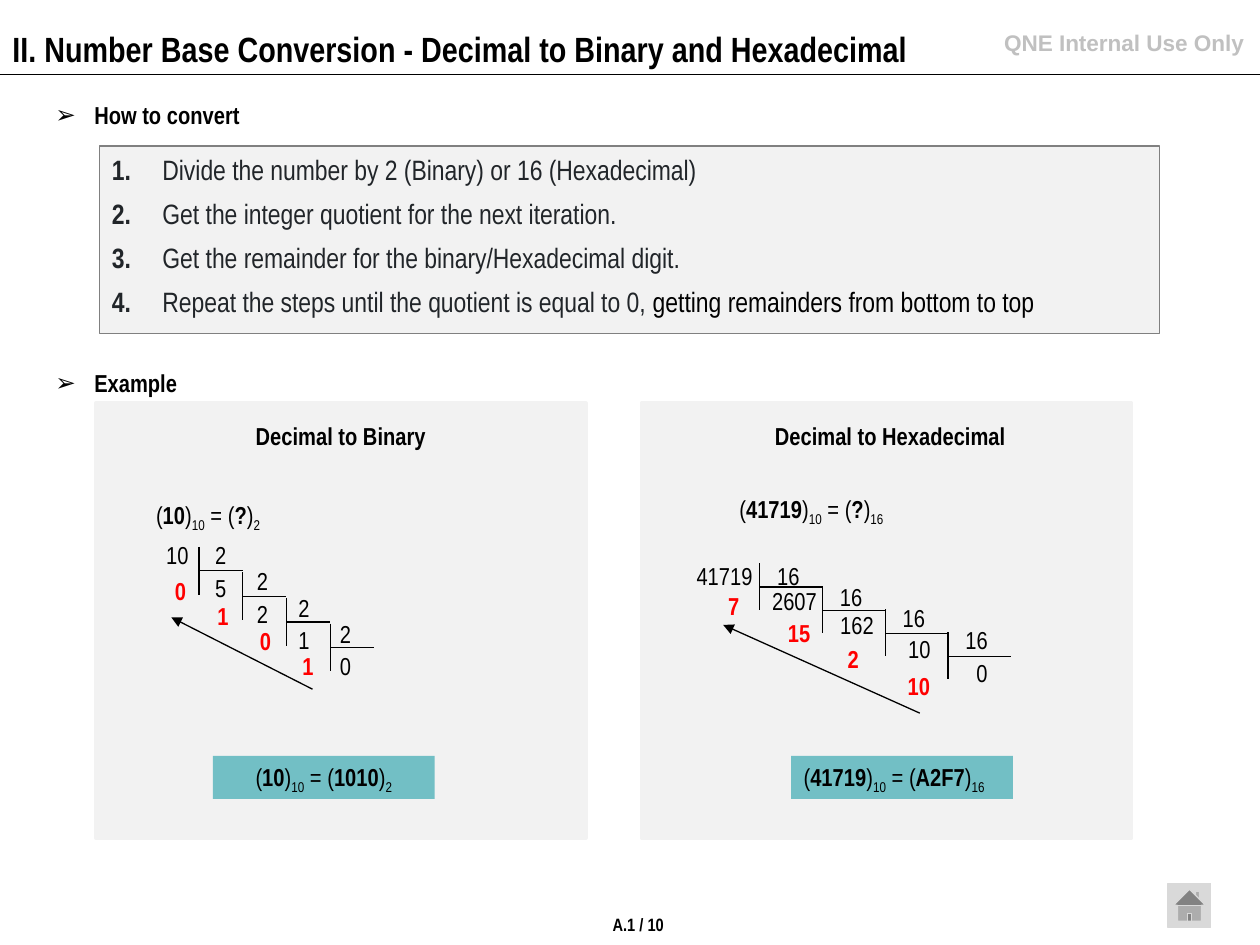
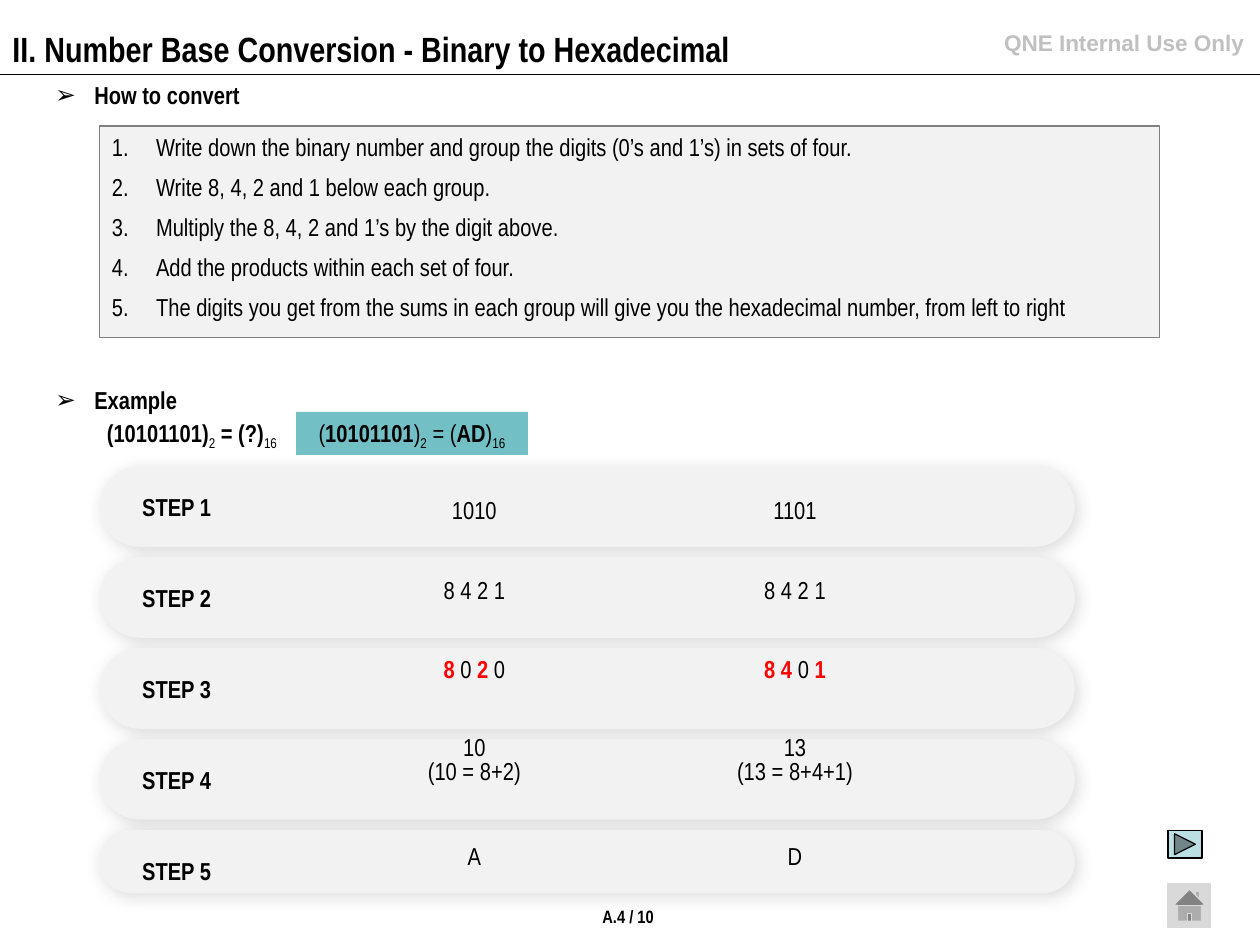
import dataclasses

import pptx
import pptx.dml.color
import pptx.enum.shapes
import pptx.enum.text
import pptx.oxml
import pptx.oxml.ns
import pptx.util

SHAPES = pptx.enum.shapes.MSO_SHAPE
ALIGN = pptx.enum.text.PP_ALIGN
ANCHOR = pptx.enum.text.MSO_ANCHOR

# The slide is a grid of 100 columns and 75 rows of square cells
COLUMNS, ROWS = 100, 75
CELL = pptx.util.Inches(0.1)

BLACK, RED, INK = "000000", "FF0000", "212529"
PANEL, TEAL, GREY = "F2F2F2", "72BFC5", "808080"
BUTTON, MARK, SKY, WHITE = "D9D9D9", "C0C0C0", "BBE0E3", "FFFFFF"

# Formats of a span
BASE = {"name": "Arial Narrow", "size": 14, "bold": False, "color": BLACK}
BOLD = {"bold": True}
SUB = {"baseline": "-25000"}
HOT = {"bold": True, "color": RED}
NO_GRID_STYLE = "{2D5ABB26-0587-4C30-8999-92F81FD0307C}"


@dataclasses.dataclass
class Box:
    left: float
    top: float
    width: float = 0
    height: float = 3.4

    def inside(self, left, top, width, height=3.4):
        return Box(self.left + left, self.top + top, width, height)

    def lengths(self):
        return [cells(n) for n in (self.left, self.top, self.width, self.height)]


def cells(number):
    return pptx.util.Emu(round(number * CELL))


def colour(hex_text):
    return pptx.dml.color.RGBColor.from_string(hex_text)


def set_formats(target, formats):
    for name, value in formats.items():
        setattr(target, name, value)


def add_xml(parent, markup):
    tag, rest = markup.split(" ", 1)
    parent.append(pptx.oxml.parse_xml(f"{tag} {pptx.oxml.ns.nsdecls('a')} {rest}"))


# ---- Text ----

def add_span(para, text, formats):
    span = para.add_run()
    span.text = text
    values = {**BASE, **formats}
    span.font.color.rgb = colour(values.pop("color"))
    baseline = values.pop("baseline", None)
    if baseline:
        span.font._element.set("baseline", baseline)
    values["size"] = pptx.util.Pt(values["size"])
    set_formats(span.font, values)


def write_para(para, spans, base=None, **formats):
    set_formats(para, formats)
    if isinstance(spans, str):
        spans = [(spans, {})]
    for text, style in spans:
        add_span(para, text, {**(base or {}), **style})


def set_bullet(para, indent, *markups):
    properties = para._p.get_or_add_pPr()
    properties.set("marL", str(cells(indent)))
    properties.set("indent", str(-cells(indent)))
    for markup in markups:
        add_xml(properties, markup)


def set_frame(frame, margin=None, anchor=ANCHOR.TOP, wrap=True):
    set_formats(frame, {"word_wrap": wrap, "vertical_anchor": anchor})
    if margin is not None:
        sides = ("left", "top", "right", "bottom")
        set_formats(frame, {f"margin_{side}": cells(margin) for side in sides})


def add_text(page, box, spans, base=None, anchor=ANCHOR.TOP, **formats):
    frame = page.shapes.add_textbox(*box.lengths()).text_frame
    set_frame(frame, anchor=anchor)
    write_para(frame.paragraphs[0], spans, base, **formats)
    return frame.paragraphs[0]


def based(digits, base):
    """Spans of a number in brackets with its base below."""
    return [("(", {}), (digits, BOLD), (")", {}), (str(base), SUB)]


def equation(left, right):
    return based(*left) + [(" = ", {})] + based(*right)


# ---- Shapes and lines ----

def add_shape(page, box, fill, line=None, width=0.75, kind=SHAPES.RECTANGLE):
    shape = page.shapes.add_shape(kind, *box.lengths())
    shape.shadow.inherit = False
    shape.fill.solid()
    shape.fill.fore_color.rgb = colour(fill)
    if line:
        shape.line.color.rgb = colour(line)
        shape.line.width = pptx.util.Pt(width)
    else:
        shape.line.fill.background()
    return shape


def add_line(page, box, start, end, arrow=False):
    ends = [cells(n) for x, y in (start, end) for n in (box.left + x, box.top + y)]
    line = page.shapes.add_connector(pptx.enum.shapes.MSO_CONNECTOR.STRAIGHT, *ends)
    line.line.color.rgb = colour(BLACK)
    line.line.width = pptx.util.Pt(0.75)
    if arrow:
        add_xml(line.line._get_or_add_ln(), '<a:tailEnd type="triangle"/>')
    add_xml(line._element.spPr, "<a:effectLst />")


def add_answer(page, box, spans, align=ALIGN.CENTER):
    frame = add_shape(page, box, TEAL).text_frame
    set_frame(frame)
    write_para(frame.paragraphs[0], spans, alignment=align)


# ---- Parts shared by the slides ----

def add_frame(page, title, number, number_box):
    slide = Box(0, 0, COLUMNS, ROWS)
    add_line(page, slide, (0, 5.9), (COLUMNS, 5.9))
    add_text(page, slide.inside(72.2, 1.8, 27.5, 3.2), "QNE Internal Use Only",
             {"name": "Arial", "size": 12.9, "bold": True, "color": MARK},
             alignment=ALIGN.RIGHT)
    add_text(page, slide.inside(0, 1.7, 83.7, 4.4), title, {"size": 20, **BOLD})
    add_shape(page, slide.inside(92.7, 70.1, 3.4, 3.5), BUTTON, BUTTON,
              kind=SHAPES.ACTION_BUTTON_HOME)
    frame = add_shape(page, number_box, WHITE).text_frame
    set_frame(frame, margin=0, wrap=False)
    write_para(frame.paragraphs[0], number, {"size": 10.2, **BOLD},
               alignment=ALIGN.CENTER)


def add_heading(page, top, text):
    para = add_text(page, Box(3.4, top, 86.2, 4.7), text, BOLD,
                    anchor=ANCHOR.MIDDLE, line_spacing=0.9)
    set_bullet(para, 3.1, '<a:buFont typeface="Arial"/>', '<a:buChar char="➢"/>')


def add_rules(page, box, rules, base=None):
    frame = add_shape(page, box, PANEL, GREY).text_frame
    set_frame(frame)
    for index, rule in enumerate(rules):
        para = frame.add_paragraph() if index else frame.paragraphs[0]
        write_para(para, rule, base, alignment=ALIGN.LEFT,
                   space_before=pptx.util.Pt(6))
        set_bullet(para, 3.5, '<a:buAutoNum type="arabicPeriod"/>')


# ---- Slide 1: repeated division ----

def add_ladder(page, box, start, step, drop):
    """Draw four division brackets that step down to the right."""
    for index in range(4):
        x, y = (first + index * pitch for first, pitch in zip(start, step))
        add_line(page, box, (x, y - 1.9), (x, y - 1.9 + drop))
        add_line(page, box, (x, y), (x + step[0], y))


def add_series(page, box, texts, start, step=(0, 0), style=None):
    for index, text in enumerate(texts):
        x, y = (first + index * pitch for first, pitch in zip(start, step))
        add_text(page, box.inside(x, y, 6.6), text, style)


def add_division(page, box, division):
    add_shape(page, box, PANEL, PANEL, 2)
    add_text(page, box.inside(division["heading_left"], 0.95, box.width),
             division["heading"], BOLD, alignment=ALIGN.CENTER)
    number, base = division["number"], division["base"]
    add_text(page, box.inside(*division["question_at"], 29),
             equation((number, 10), ("?", base)))
    add_ladder(page, box, *division["ladder"])
    for series in division["series"]:
        add_series(page, box, *series)
    add_line(page, box, *division["arrow"], arrow=True)
    add_answer(page, box.inside(division["answer_left"], 28, 17.6),
               equation((number, 10), (division["result"], base)), division["align"])


BINARY = {
    "heading": "Decimal to Binary", "heading_left": 0,
    "number": "10", "base": 2, "result": "1010",
    "question_at": (3.8, 7.2), "answer_left": 9.3, "align": ALIGN.CENTER,
    "ladder": ((8.2, 13.3), (3.47, 2.03), 3.8),
    "arrow": ((17.2, 22.7), (6, 17)),
    "series": [
        (["10"], (4.6, 10.4)),
        (["2"] * 4, (8.5, 10.4), (3.3, 2.07)),
        (["5", "2", "1", "0"], (8.5, 13), (3.3, 2.05)),
        (["0", "1", "0", "1"], (5.3, 13.2), (3.37, 2), HOT),
    ],
}
HEXADECIMAL = {
    "heading": "Decimal to Hexadecimal", "heading_left": 0.3,
    "number": "41719", "base": 16, "result": "A2F7",
    "question_at": (6.8, 6.7), "answer_left": 11.9, "align": ALIGN.LEFT,
    "ladder": ((9.4, 14.6), (4.98, 1.83), 3.7),
    "arrow": ((22.1, 24.6), (6.5, 17.6)),
    "series": [
        (["41719"], (3.4, 12)),
        (["16"] * 4, (9.8, 12), (4.98, 1.7)),
        (["2607", "162", "10", "0"], (9.4, 14), (5.4, 1.9)),
        (["7", "15", "2", "10"], (5.9, 14.4), (4.75, 2.13), HOT),
    ],
}


def build_division_slide(page):
    add_frame(page, "II. Number Base Conversion - Decimal to Binary and Hexadecimal",
              "A.1 / 10", Box(48.6, 72.5, 4.1, 1.7))
    add_heading(page, 6.9, "How to convert")
    rules = ["Divide the number by 2 (Binary) or 16 (Hexadecimal)",
             "Get the integer quotient for the next iteration.",
             "Get the remainder for the binary/Hexadecimal digit.",
             "Repeat the steps until the quotient is equal to 0, "]
    rules = [[(" ", BOLD), (rule, {})] for rule in rules]
    rules[-1].append(("getting remainders from bottom to top", {"color": BLACK}))
    add_rules(page, Box(7.9, 11.6, 84.1, 14.9), rules, {"size": 16, "color": INK})
    add_heading(page, 28.2, "Example")
    for left, division in ((7.6, BINARY), (50.9, HEXADECIMAL)):
        add_division(page, Box(left, 32, 38.9, 34.5), division)


# ---- Slide 2: grouping by four digits ----

def add_steps(page, box):
    """Draw the five shadowed bands and their labels."""
    for index, height in enumerate([6.4] * 4 + [5]):
        band = box.inside(0, index * 7.22, box.width, height)
        shape = add_shape(page, band, PANEL, kind=SHAPES.ROUNDED_RECTANGLE)
        shape.adjustments[0] = 0.5
        add_xml(shape._element.spPr.find(pptx.oxml.ns.qn("a:effectLst")),
                '<a:outerShdw blurRad="127000" dist="25400" dir="2700000">'
                '<a:srgbClr val="000000"><a:alpha val="15000"/></a:srgbClr>'
                '</a:outerShdw>')
        add_text(page, band.inside(2.4, 1.6, 10), f"STEP {index + 1}", BOLD)


def add_digit_table(page, box):
    widths = [14.7, 25.3, 25.6]
    heights = [3.8, 3.3] + [3.1] * 5 + [5.5, 3.1, 3.1]
    # Each filled row holds the lines of its two groups
    groups = {
        1: (["1010"], ["1101"]),
        3: (["8 4 2 1"], ["8 4 2 1"]),
        5: ([[("8", HOT), (" 0 ", {}), ("2", HOT), (" 0", {})]],
            [[("8 4 ", HOT), ("0 ", {}), ("1", HOT)]]),
        7: (["10", "(10 = 8+2)"], ["13", "(13 = 8+4+1)"]),
        9: (["A"], ["D"]),
    }
    table = page.shapes.add_table(len(heights), len(widths), *box.lengths()).table
    set_formats(table, {"first_row": False, "horz_banding": False})
    table._tbl.tblPr.find(pptx.oxml.ns.qn("a:tableStyleId")).text = NO_GRID_STYLE
    for column, width in zip(table.columns, widths):
        column.width = cells(width)
    for index, (row, height) in enumerate(zip(table.rows, heights)):
        row.height = cells(height)
        for cell, lines in zip(row.cells, ([], *groups.get(index, ([], [])))):
            cell.fill.background()
            set_formats(cell, {"margin_left": cells(0.7), "margin_right": cells(0.7),
                               "margin_top": cells(0.4), "margin_bottom": cells(0.4)})
            frame = cell.text_frame
            for number, line in enumerate(lines):
                para = frame.add_paragraph() if number else frame.paragraphs[0]
                write_para(para, line, alignment=ALIGN.CENTER)
            if not lines:
                frame.paragraphs[0]._p.get_or_add_endParaRPr().set("sz", "1000")


def build_grouping_slide(page):
    add_frame(page, "II. Number Base Conversion - Binary to Hexadecimal",
              "A.4 / 10", Box(47.8, 71.9, 4.1, 1.7))
    add_heading(page, 5.3, "How to convert")
    add_rules(page, Box(7.9, 10, 84.1, 16.8), [
        "Write down the binary number and group the digits (0’s and 1’s) in sets of four.",
        "Write 8, 4, 2 and 1 below each group.",
        "Multiply the 8, 4, 2 and 1’s by the digit above.",
        "Add the products within each set of four.",
        "The digits you get from the sums in each group will give you "
        "the hexadecimal number, from left to right"])
    add_steps(page, Box(7.9, 37, 77.4))
    add_digit_table(page, Box(10.3, 35.6, 65.6, 34.4))
    add_heading(page, 29.5, "Example")
    question = [("(10101101)", BOLD), ("2", SUB), (" = (?)", BOLD), ("16", SUB)]
    add_text(page, Box(7.5, 32.6, 17.3, 3.6), question,
             anchor=ANCHOR.MIDDLE, line_spacing=0.9)
    add_answer(page, Box(23.5, 32.7, 18.4), equation(("10101101", 2), ("AD", 16)))
    add_shape(page, Box(92.7, 65.9, 2.7, 2.2), SKY, BLACK,
              kind=SHAPES.ACTION_BUTTON_FORWARD_OR_NEXT)


def main():
    deck = pptx.Presentation()
    set_formats(deck, {"slide_width": cells(COLUMNS), "slide_height": cells(ROWS)})
    for build in (build_division_slide, build_grouping_slide):
        build(deck.slides.add_slide(deck.slide_layouts[6]))
    deck.save("out.pptx")


if __name__ == "__main__":
    main()
